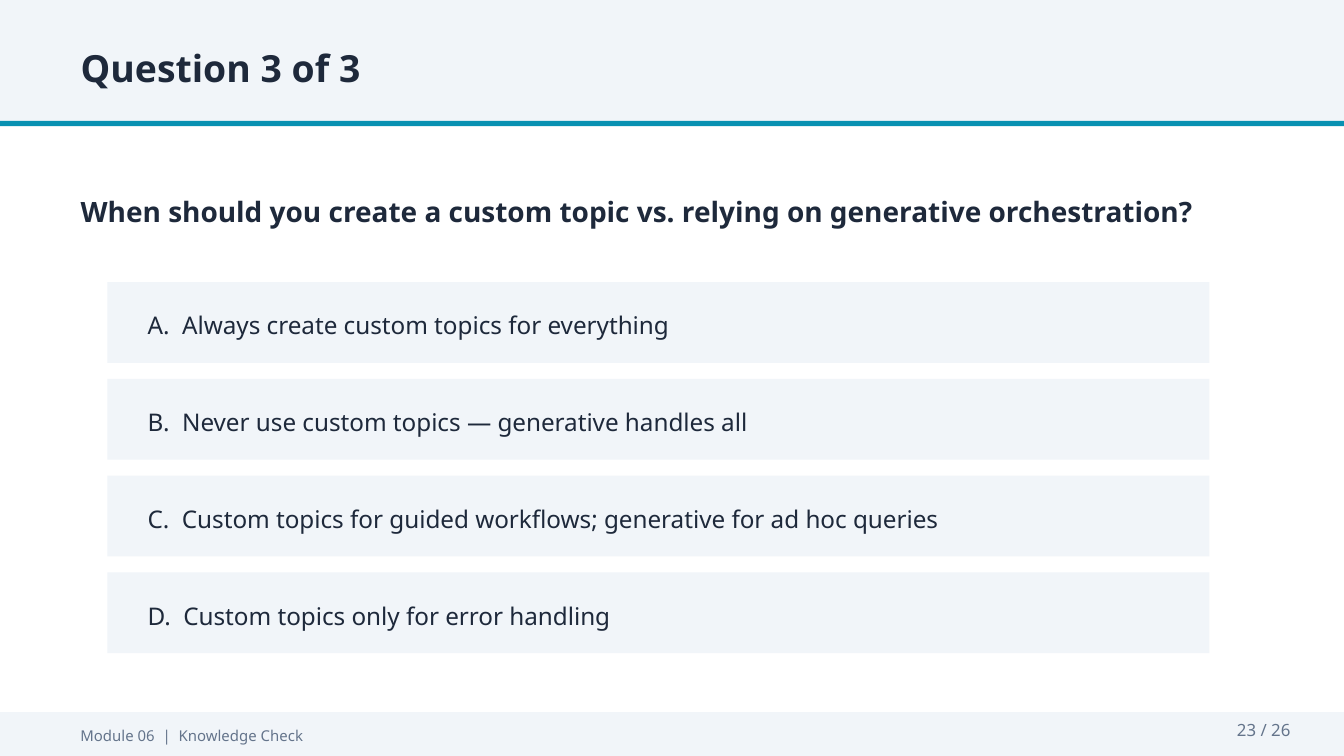
"""Build the quiz slide for question 3 of the knowledge check."""
from pptx import Presentation
from pptx.dml.color import RGBColor
from pptx.enum.shapes import MSO_SHAPE as Preset
from pptx.enum.text import MSO_ANCHOR as Anchor, MSO_AUTO_SIZE as AutoSize, PP_ALIGN as Align
from pptx.oxml.ns import qn
from pptx.util import Inches, Pt
from lxml.etree import SubElement

WIDTH = 10
HEIGHT = WIDTH * 9 / 16
MARGIN = 0.5
FONT = "Noto Sans"
COLORS = {"panel": "F1F5F9", "accent": "0891B2", "ink": "1E293B", "muted": "64748B"}
ANSWERS = [
    "Always create custom topics for everything",
    "Never use custom topics — generative handles all",
    "Custom topics for guided workflows; generative for ad hoc queries",
    "Custom topics only for error handling",
]
ANSWER_TOP, ANSWER_HEIGHT, ANSWER_GAP = 2.1, 0.6, 0.12


def add_panel(slide, left, top, width, height, color="panel"):
    """Add a flat, borderless rectangle."""
    panel = slide.shapes.add_shape(Preset.RECTANGLE, *map(Inches, (left, top, width, height)))
    panel.shadow.inherit = False
    panel.fill.solid()
    panel.fill.fore_color.rgb = RGBColor.from_string(COLORS[color])
    panel.line.fill.background()


def write(holder, words, size, color="ink", bold=False, align=Align.LEFT):
    """Write one middle-anchored line of text into a shape."""
    frame = holder.text_frame
    frame.word_wrap = True
    frame.auto_size = AutoSize.NONE
    frame.vertical_anchor = Anchor.MIDDLE
    line = frame.paragraphs[0]
    line.alignment = align
    line.space_before = Pt(0)
    run = line.add_run()
    run.text = words
    run.font.name = FONT
    run.font.size = Pt(size)
    run.font.bold = bold
    run.font.color.rgb = RGBColor.from_string(COLORS[color])


def add_label(slide, left, top, width, height, words, size, **style):
    """Add a text box holding one line."""
    label = slide.shapes.add_textbox(*map(Inches, (left, top, width, height)))
    write(label, words, size, **style)


def fill_placeholder(holder, left, top, width, height, words, size):
    """Place a placeholder in front of the panels and give it bold text."""
    holder.left, holder.top, holder.width, holder.height = map(Inches, (left, top, width, height))
    holder.element.getparent().append(holder.element)
    write(holder, words, size, bold=True)


def remove_bullet(holder):
    """Drop the bullet and hanging indent of the first paragraph."""
    props = holder.text_frame.paragraphs[0]._p.get_or_add_pPr()
    props.set("marL", "0")
    props.set("indent", "0")
    SubElement(props, qn("a:buNone"))


def add_answer(slide, row, letter, answer):
    """Add one answer panel with its lettered text."""
    top = ANSWER_TOP + row * (ANSWER_HEIGHT + ANSWER_GAP)
    add_panel(slide, 0.8, top, 8.2, ANSWER_HEIGHT)
    add_label(slide, 1, top + 0.12, 7.8, 0.4, f"{letter}.  {answer}", 13)


def add_footer(slide):
    """Add the footer band with module name and page count."""
    add_panel(slide, 0, 5.3, WIDTH, HEIGHT - 5.3)
    add_label(slide, MARGIN, 5.33, 6, 0.28, "Module 06  |  Knowledge Check", 8, color="muted")
    add_label(slide, 8.7, 5.28, 1, 0.3, "23 / 26", 9, color="muted", align=Align.RIGHT)


def main():
    """Assemble and save the slide."""
    deck = Presentation()
    deck.slide_width, deck.slide_height = Inches(WIDTH), Inches(HEIGHT)
    slide = deck.slides.add_slide(deck.slide_layouts[1])
    title, question = slide.placeholders
    content_width = WIDTH - 2 * MARGIN

    add_panel(slide, 0, 0, WIDTH, 0.9)
    add_panel(slide, 0, 0.9, WIDTH, 0.04, "accent")
    fill_placeholder(title, MARGIN, 0.25, content_width, 0.5, "Question 3 of 3", 20)
    fill_placeholder(
        question, MARGIN, 1.2, content_width, 0.75,
        "When should you create a custom topic vs. relying on generative orchestration?", 15)
    remove_bullet(question)
    for row, (letter, answer) in enumerate(zip("ABCD", ANSWERS)):
        add_answer(slide, row, letter, answer)
    add_footer(slide)
    deck.save("out.pptx")


if __name__ == "__main__":
    main()
